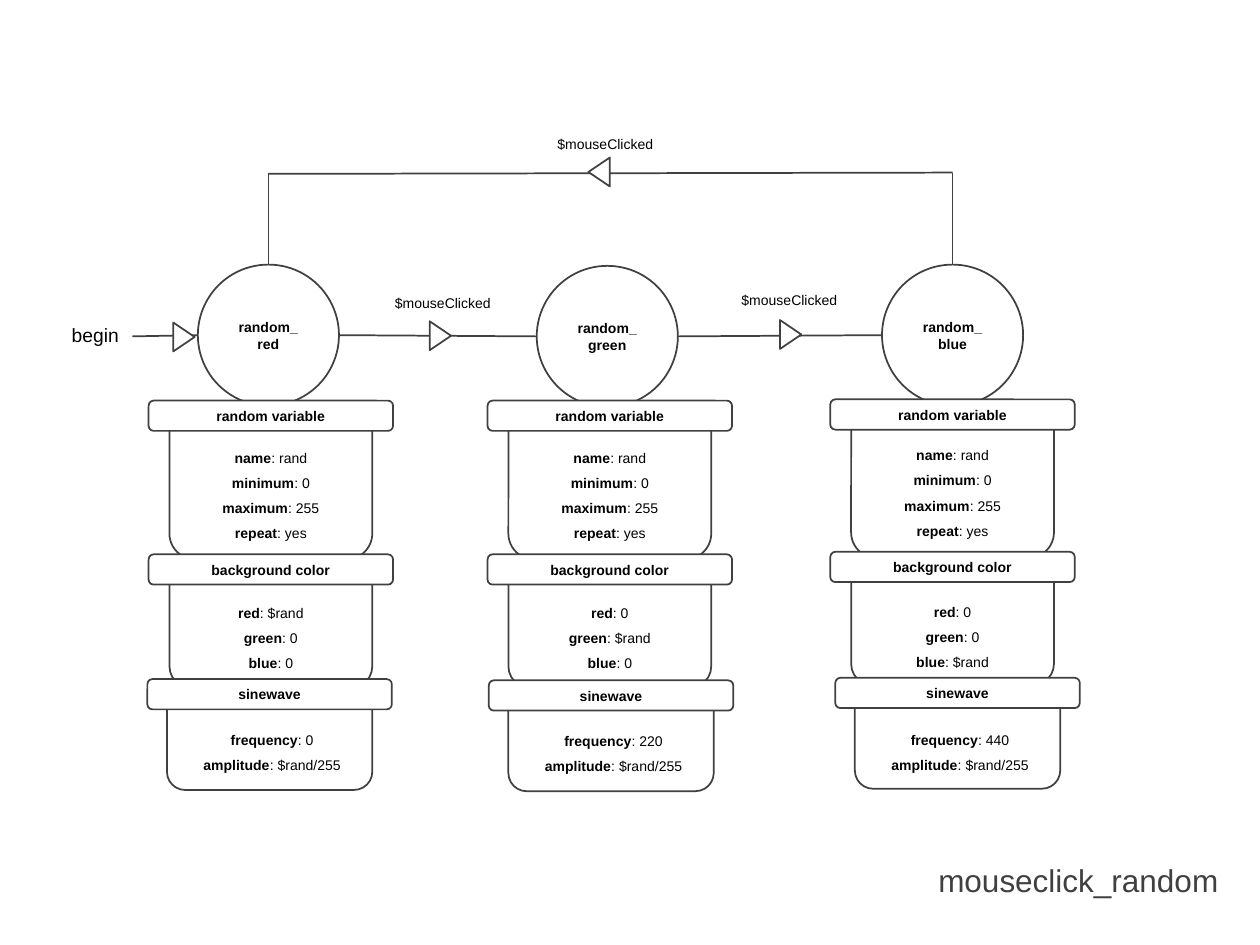
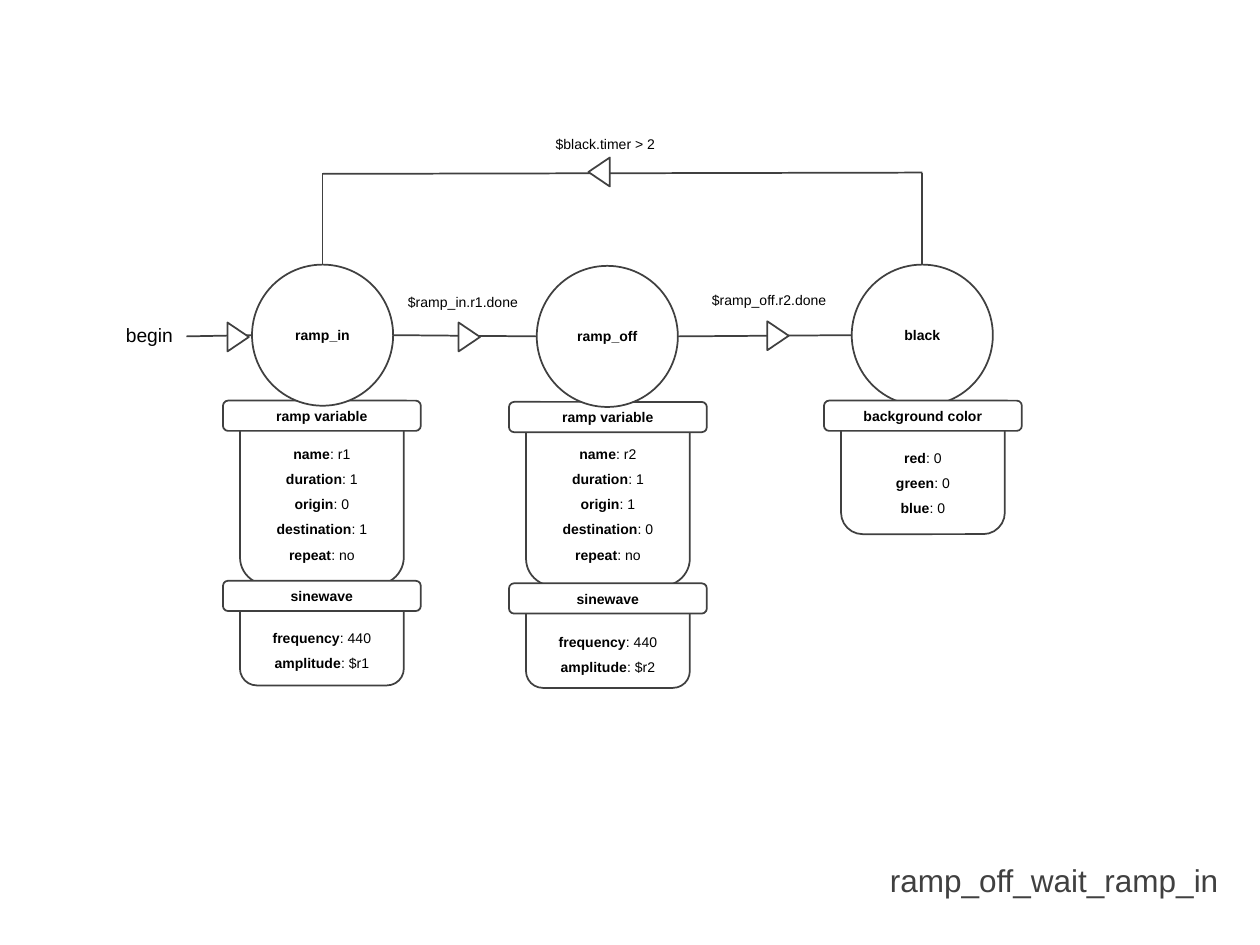
from dataclasses import dataclass
from itertools import pairwise

from lxml.etree import SubElement
from pptx import Presentation
from pptx.dml.color import RGBColor
from pptx.enum.shapes import MSO_CONNECTOR as Connector, MSO_SHAPE as Preset
from pptx.enum.text import MSO_ANCHOR as Anchor, MSO_AUTO_SIZE as Fit, PP_ALIGN as Align
from pptx.oxml.ns import qn
from pptx.util import Inches, Pt

WHITE = RGBColor(0xFF, 0xFF, 0xFF)
BLACK = RGBColor(0x00, 0x00, 0x00)
CHARCOAL = RGBColor(0x40, 0x40, 0x40)

COLUMNS, ROWS = 100, 75
CIRCLE = 11.2
BAR_HEIGHT = 2.4
ARROW_WIDTH, ARROW_HEIGHT = 2.3, 1.7
LABEL_WIDTH, LABEL_HEIGHT = 12.9, 2.9
LOOP_ROW = 13.7

SMALL = {"name": "Arial", "size": Pt(8), "bold": False}
STRONG = SMALL | {"bold": True}
START = SMALL | {"size": Pt(11)}
HEADING = SMALL | {"size": Pt(18)}


@dataclass
class Kind:
    title: str
    bar_width: float
    body_width: float
    body_height: float
    body_drop: float = 0.3
    text_shift: float = 0


RANDOM = Kind("random variable", 19.4, 16.1, 12.3)
COLOR = Kind("background color", 19.4, 16.1, 10.3)
SINE = Kind("sinewave", 19.4, 16.3, 8.7, 0.1, 0.2)
RAMP = Kind("ramp variable", 15.7, 13, 14.3)
SHORT_COLOR = Kind("background color", 15.7, 13, 10.3)
SHORT_SINE = Kind("sinewave", 15.7, 13, 8)


@dataclass
class Panel:
    kind: Kind
    left: float
    top: float
    text_top: float
    entries: list


@dataclass
class State:
    name: str
    left: float
    top: float
    panels: list
    in_front: bool = False

    @property
    def center(self):
        return self.left + CIRCLE / 2

    @property
    def middle(self):
        return self.top + CIRCLE / 2

    @property
    def right(self):
        return self.left + CIRCLE


@dataclass
class Event:
    text: str
    label_left: float
    label_top: float
    arrow_left: float
    arrow_top: float
    rotation: int = 90


class Diagram:
    def __init__(self):
        self.deck = Presentation()
        self.deck.slide_width, self.deck.slide_height = Inches(10), Inches(7.5)
        self.column = self.deck.slide_width / COLUMNS
        self.row = self.deck.slide_height / ROWS
        self.slide = None

    def place(self, left, top, width, height):
        return [round(value * unit) for value, unit in
                zip((left, top, width, height), (self.column, self.row) * 2)]

    def add_words(self, paragraph, text, style, color=BLACK):
        for index, line in enumerate(text.split("\n")):
            if index:
                paragraph.add_line_break()
            run = paragraph.add_run()
            run.text = line
            for key, value in style.items():
                setattr(run.font, key, value)
            run.font.color.rgb = color

    def outline(self, line):
        line.color.rgb = CHARCOAL
        line.width = Pt(1)

    def new_slide(self, heading):
        self.slide = self.deck.slides.add_slide(self.deck.slide_layouts[5])
        title = self.slide.shapes.title
        title.left, title.top, title.width, title.height = self.place(30.5, 66.3, 67.2, 5.3)
        frame = title.text_frame
        frame.auto_size, frame.vertical_anchor, frame.word_wrap = Fit.NONE, Anchor.TOP, True
        paragraph = frame.paragraphs[0]
        paragraph.alignment, paragraph.line_spacing = Align.RIGHT, 1.5
        self.add_words(paragraph, heading, HEADING, CHARCOAL)

    def shape(self, preset, left, top, width, height, text="", rotation=0):
        figure = self.slide.shapes.add_shape(preset, *self.place(left, top, width, height))
        figure.shadow.inherit = False
        figure.fill.solid()
        figure.fill.fore_color.rgb = WHITE
        self.outline(figure.line)
        figure.rotation = rotation
        if text:
            frame = figure.text_frame
            frame.word_wrap, frame.vertical_anchor = True, Anchor.MIDDLE
            frame.paragraphs[0].alignment = Align.CENTER
            self.add_words(frame.paragraphs[0], text, STRONG)

    def line(self, x1, y1, x2, y2):
        link = self.slide.shapes.add_connector(Connector.STRAIGHT, *self.place(x1, y1, x2, y2))
        self.outline(link.line)
        SubElement(link._element.spPr, qn("a:effectLst"))

    def arrow(self, left, top, rotation=90):
        self.shape(Preset.ISOSCELES_TRIANGLE, left, top, ARROW_WIDTH, ARROW_HEIGHT, rotation=rotation)

    def text(self, left, top, width, height, lines, wrap=True, align=Align.CENTER, spacing=1.5):
        frame = self.slide.shapes.add_textbox(*self.place(left, top, width, height)).text_frame
        frame.word_wrap, frame.auto_size = wrap, Fit.SHAPE_TO_FIT_TEXT
        for index, runs in enumerate(lines):
            paragraph = frame.add_paragraph() if index else frame.paragraphs[0]
            paragraph.alignment, paragraph.line_spacing = align, spacing
            for words, style in runs:
                self.add_words(paragraph, words, style)

    def panel(self, panel):
        kind = panel.kind
        body_left = panel.left + (kind.bar_width - kind.body_width) / 2
        self.shape(Preset.ROUNDED_RECTANGLE, body_left, panel.top + kind.body_drop,
                   kind.body_width, kind.body_height)
        self.shape(Preset.ROUNDED_RECTANGLE, panel.left, panel.top, kind.bar_width, BAR_HEIGHT, kind.title)
        lines = []
        for entry in panel.entries:
            key, colon, value = entry.partition(":")
            lines.append([(key, STRONG), (colon + value, SMALL)])
        self.text(body_left + kind.text_shift, panel.text_top, kind.body_width,
                  0.9 + 2 * len(lines), lines)

    def state(self, state):
        circle = (Preset.OVAL, state.left, state.top, CIRCLE, CIRCLE, state.name)
        if not state.in_front:
            self.shape(*circle)
        for index, panel in enumerate(state.panels):
            self.panel(panel)
            if state.in_front and index == 0:
                self.shape(*circle)

    def begin(self, state):
        start = state.left - 5.2
        self.line(start, 26.7, state.left, state.middle)
        self.arrow(state.left - 2.25, 25.9)
        self.text(start - 5.8, 25.2, 5.8, 2.9, [[("begin", START)]], False, Align.LEFT, 1)

    def event(self, event):
        self.arrow(event.arrow_left, event.arrow_top, event.rotation)
        self.text(event.label_left, event.label_top, LABEL_WIDTH, LABEL_HEIGHT, [[(event.text, SMALL)]])

    def machine(self, heading, states, steps, loop_text):
        self.new_slide(heading)
        for state in states:
            self.state(state)
        self.begin(states[0])
        for (source, target), step in zip(pairwise(states), steps):
            self.line(source.right, source.middle, target.left, target.middle)
            self.event(step)
        first, last = states[0], states[-1]
        for state in (last, first):
            self.line(state.center, state.top, state.center, LOOP_ROW)
        self.line(first.center, LOOP_ROW + 0.1, last.center, LOOP_ROW)
        self.event(Event(loop_text, 41.6, 9.6, 46.4, 12.8, 270))


def random_state(color, frequency, circle, bars, tops, text_tops):
    random_top, color_top, sine_top = tops
    random_text, color_text, sine_text = text_tops
    levels = [f"{name}: {'$rand' if name == color else 0}" for name in ("red", "green", "blue")]
    return State(f"random_\n{color}", *circle, [
        Panel(RANDOM, bars[0], random_top, random_text,
              ["name: rand", "minimum: 0", "maximum: 255", "repeat: yes"]),
        Panel(COLOR, bars[0], color_top, color_text, levels),
        Panel(SINE, bars[1], sine_top, sine_text,
              [f"frequency: {frequency}", "amplitude: $rand/255"]),
    ])


def ramp_state(name, ramp, origin, circle, bar, tops, text_tops):
    return State(name, *circle, [
        Panel(RAMP, bar, tops[0], text_tops[0],
              [f"name: {ramp}", "duration: 1", f"origin: {origin}",
               f"destination: {1 - origin}", "repeat: no"]),
        Panel(SHORT_SINE, bar, tops[1], text_tops[1],
              ["frequency: 440", f"amplitude: ${ramp}"]),
    ], in_front=True)


def main():
    diagram = Diagram()
    clicked = "$mouseClicked"
    diagram.machine(
        "mouseclick_random",
        [random_state("red", 0, (15.7, 21), (11.8, 11.7), (31.8, 44, 53.9), (34.5, 46.8, 56.9)),
         random_state("green", 220, (42.6, 21.1), (38.7, 38.8), (31.8, 44, 54), (34.5, 46.8, 57)),
         random_state("blue", 440, (70, 21), (65.9, 66.3), (31.7, 43.8, 53.8), (34.3, 46.7, 56.9))],
        [Event(clicked, 28.7, 22.2, 33.8, 25.8), Event(clicked, 56.2, 22, 61.6, 25.7)],
        clicked,
    )
    black = State("black", 67.6, 21, [
        Panel(SHORT_COLOR, 65.4, 31.8, 34.5, ["red: 0", "green: 0", "blue: 0"])])
    diagram.machine(
        "ramp_off_wait_ramp_in",
        [ramp_state("ramp_in", "r1", 0, (20, 21), 17.7, (31.8, 46.1), (34.2, 48.8)),
         ramp_state("ramp_off", "r2", 1, (42.6, 21.1), 40.4, (31.9, 46.3), (34.2, 49.1)),
         black],
        [Event("$ramp_in.r1.done", 30.3, 22.1, 36.1, 25.9),
         Event("$ramp_off.r2.done", 54.6, 22, 60.6, 25.8)],
        "$black.timer > 2",
    )
    diagram.deck.save("out.pptx")


if __name__ == "__main__":
    main()
